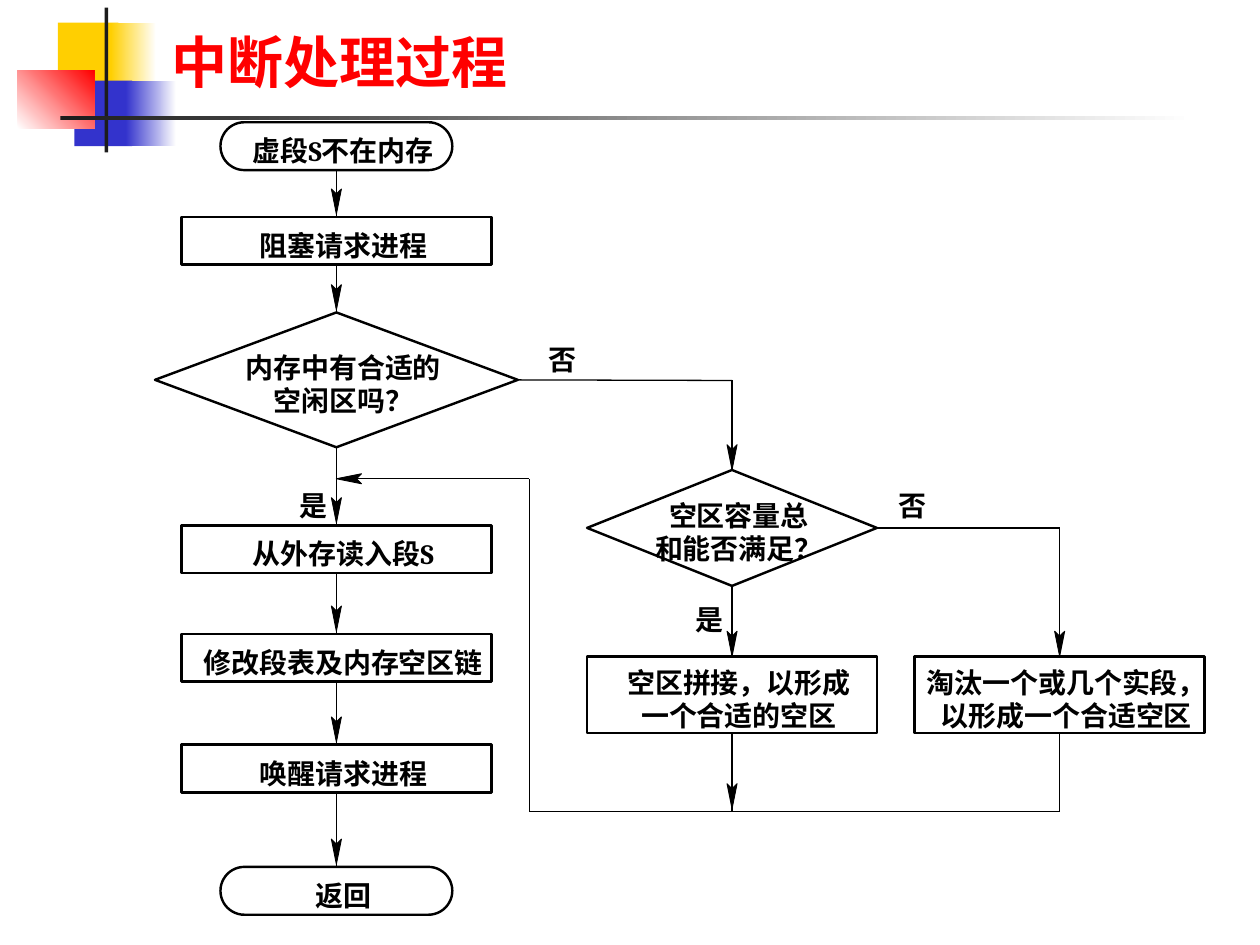
from itertools import groupby

from lxml import etree
from pptx import Presentation
from pptx import util as u
from pptx.dml.color import RGBColor
from pptx.enum import shapes, text
from pptx.oxml.ns import qn

PX = 9144  # 100 px to the inch
BLACK = RGBColor(0, 0, 0)
WHITE = RGBColor(255, 255, 255)
RED = RGBColor(255, 0, 0)
GOLD = RGBColor(0xFF, 0xCF, 0x01)
BLUE = RGBColor(0x33, 0x33, 0xCC)
INK = RGBColor(0x1C, 0x1C, 0x1C)

SANS = "Noto Sans CJK SC"
RECT = shapes.MSO_SHAPE.RECTANGLE
PILL = shapes.MSO_SHAPE.ROUNDED_RECTANGLE
GEM = shapes.MSO_SHAPE.DIAMOND
TOP, LEFT, BOTTOM, RIGHT = range(4)


def emu(*vals):
    return [u.Emu(round(v * PX)) for v in vals]


def style(para, name, size, color):
    font = para.font
    font.name, font.size, font.bold = name, u.Pt(size), True
    font.color.rgb = color
    base = para._p.pPr.find(qn("a:defRPr"))
    etree.SubElement(base, qn("a:ea")).set("typeface", name)


def write(frame, lines):
    """Fill a frame with centred bold lines; Latin letters get a serif."""
    frame.word_wrap = False
    frame.vertical_anchor = text.MSO_ANCHOR.MIDDLE
    frame.margin_left, frame.margin_top = emu(11, 7)
    frame.margin_right = frame.margin_bottom = 0
    for i, line in enumerate(lines):
        para = frame.add_paragraph() if i else frame.paragraphs[0]
        para.alignment = text.PP_ALIGN.CENTER
        para.line_spacing = u.Pt(19)
        style(para, SANS, 16, BLACK)
        for latin, part in groupby(line, str.isascii):
            run = para.add_run()
            run.text = "".join(part)
            if latin:
                run.font.name = "Cambria"


def node(tree, kind, mid, top, wide, high, *lines):
    """Add a flowchart box centred on mid."""
    box = tree.add_shape(kind, *emu(mid - wide / 2, top, wide, high))
    box.shadow.inherit = False
    if kind == PILL:
        box.adjustments[0] = 0.5
    box.fill.solid()
    box.fill.fore_color.rgb = WHITE
    box.line.color.rgb = BLACK
    box.line.width = u.Pt(1.38)
    write(box.text_frame, lines)
    return box


def note(tree, x, y, word):
    """Add a yes/no mark beside a branch."""
    write(tree.add_textbox(*emu(x - 11, y, 33, 27)).text_frame, [word])


def link(tree, x1, y1, x2, y2, start=None, end=None):
    """Add a line; start and end are (box, side) pairs to join."""
    line = tree.add_connector(shapes.MSO_CONNECTOR.STRAIGHT, *emu(x1, y1, x2, y2))
    line.line.color.rgb = BLACK
    line.line.width = u.Pt(0.75)
    etree.SubElement(line._element.spPr, qn("a:effectLst"))
    if start:
        line.begin_connect(*start)
    if end:
        line.end_connect(*end)


def head(tree, x, y, left=False):
    """Add a barbed arrowhead with its tip at x, y, pointing down or left."""
    pts = [(4, -20), (0, -16), (-4, -20), (0, 0)]
    if left:
        pts = [(-b, a) for a, b in pts]
    pts = [(x + a, y + b) for a, b in pts]
    pen = tree.build_freeform(*pts[0], scale=PX)
    pen.add_line_segments(pts[1:])
    barb = pen.convert_to_shape()
    barb.shadow.inherit = False
    barb.fill.solid()
    barb.fill.fore_color.rgb = BLACK
    barb.line.color.rgb = BLACK
    barb.line.width = u.Pt(0.5)


def header(tree, x, y):
    """Place the decorated corner, the rule and the title."""
    blocks = [
        (32, 12, 48, 52, GOLD, None, 0),
        (74, 12, 36, 52, GOLD, WHITE, 0),
        (45, 58, 46, 52, BLUE, None, 0),
        (86, 58, 40, 52, BLUE, WHITE, 0),
        (0, 50, 61, 46, WHITE, RED, 45),
        (69, 0, 3, 115, INK, None, 0),
        (34, 86, 900, 3, INK, WHITE, 0),
    ]
    for dx, dy, wide, high, tint, fade, turn in blocks:
        block = tree.add_shape(RECT, *emu(x + dx, y + dy, wide, high))
        block.shadow.inherit = False
        block.line.fill.background()
        if fade is None:
            block.fill.solid()
            block.fill.fore_color.rgb = tint
        else:
            block.fill.gradient()
            block.fill.gradient_angle = turn
            for stop, color in zip(block.fill.gradient_stops, (tint, fade)):
                stop.color.rgb = color
    frame = tree.add_textbox(*emu(x + 112, y, 852, 74)).text_frame
    frame.word_wrap = True
    frame.vertical_anchor = text.MSO_ANCHOR.BOTTOM
    frame.text = "中断处理过程"
    style(frame.paragraphs[0], "Roboto", 32, RED)


def column(tree, x, y, wide):
    """Place the main flow; return its decision box."""
    mid = x + wide / 2
    steps = [
        (PILL, 0, 184, 38, "虚段S不在内存"),
        (RECT, 75, 246, 38, "阻塞请求进程"),
        (GEM, 151, wide, 107, "内存中有合适的", "空闲区吗？"),
        (RECT, 320, 246, 38, "从外存读入段S"),
        (RECT, 406, 246, 38, "修改段表及内存空区链"),
        (RECT, 494, 246, 38, "唤醒请求进程"),
        (PILL, 591, 184, 38, "返回"),
    ]
    boxes = [node(tree, kind, mid, y + top, *rest) for kind, top, *rest in steps]
    for prev, box, step in zip(boxes, boxes[1:], steps[1:]):
        link(tree, mid, y, mid, y, (prev, BOTTOM), (box, TOP))
        head(tree, mid, y + step[1] - 2)
    note(tree, x + 115, y + 287, "是")
    return boxes[2]


def branch(tree, x, y, gem):
    """Place the side flow that leaves gem and returns to the main flow."""
    one, two = x + 314, x + 574
    wide = 230
    check = node(tree, GEM, one, y + 71, wide, 92, "空区容量总", "和能否满足？")
    join = node(tree, RECT, one, y + 219, wide, 61, "空区拼接，以形成", "一个合适的空区")
    drop = node(tree, RECT, two, y + 219, wide, 61, "淘汰一个或几个实段，", "以形成一个合适空区")

    # No-branch of the first decision
    link(tree, x + 144, y, one, y, (gem, RIGHT))
    link(tree, one, y, one, y + 71, end=(check, TOP))
    # Both outcomes of the second decision
    link(tree, one, y, one, y, (check, BOTTOM), (join, TOP))
    link(tree, one, y, two, y + 117, (check, RIGHT))
    link(tree, two, y + 117, two, y, end=(drop, TOP))
    # Way back to the main flow
    low, back, turn = y + 342, y + 78, x + 153
    for mid, box in ((one, join), (two, drop)):
        link(tree, mid, y, mid, low, (box, BOTTOM))
    link(tree, turn, low, two, low)
    link(tree, turn, back, turn, low)
    link(tree, x, back, turn, back)

    for mid, tip in ((one, 71), (one, 219), (two, 219), (one, 340)):
        head(tree, mid, y + tip)
    head(tree, x, back, left=True)
    for dx, dy, word in ((168, -34, "否"), (446, 82, "否"), (285, 173, "是")):
        note(tree, x + dx, y + dy, word)


def main():
    deck = Presentation()
    deck.slide_width, deck.slide_height = emu(1000, 750)
    tree = deck.slides.add_slide(deck.slide_layouts[6]).shapes
    header(tree, 14, 6)
    gem = column(tree, 123, 97, 288)
    branch(tree, 267, 302, gem)
    deck.save("out.pptx")


if __name__ == "__main__":
    main()
